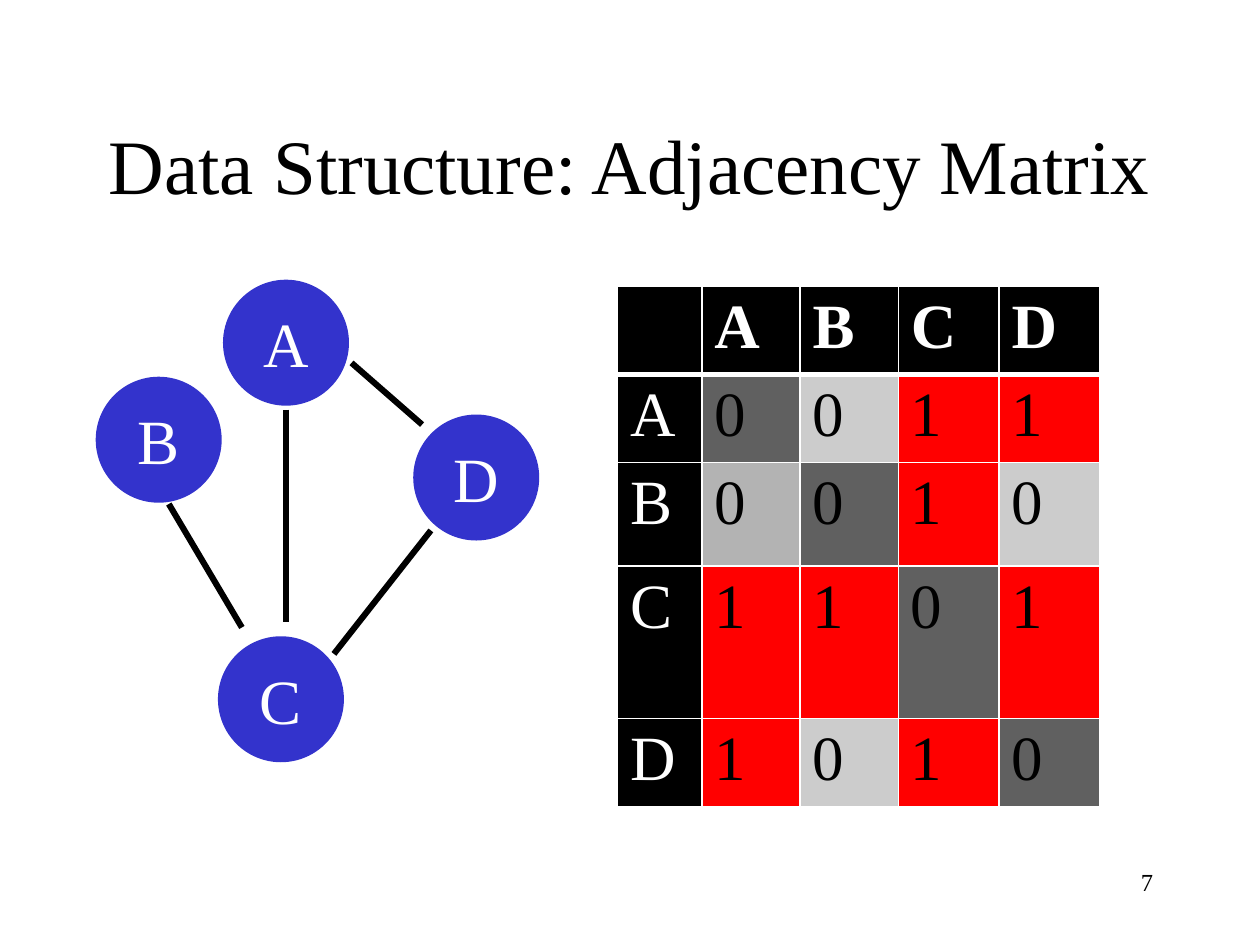
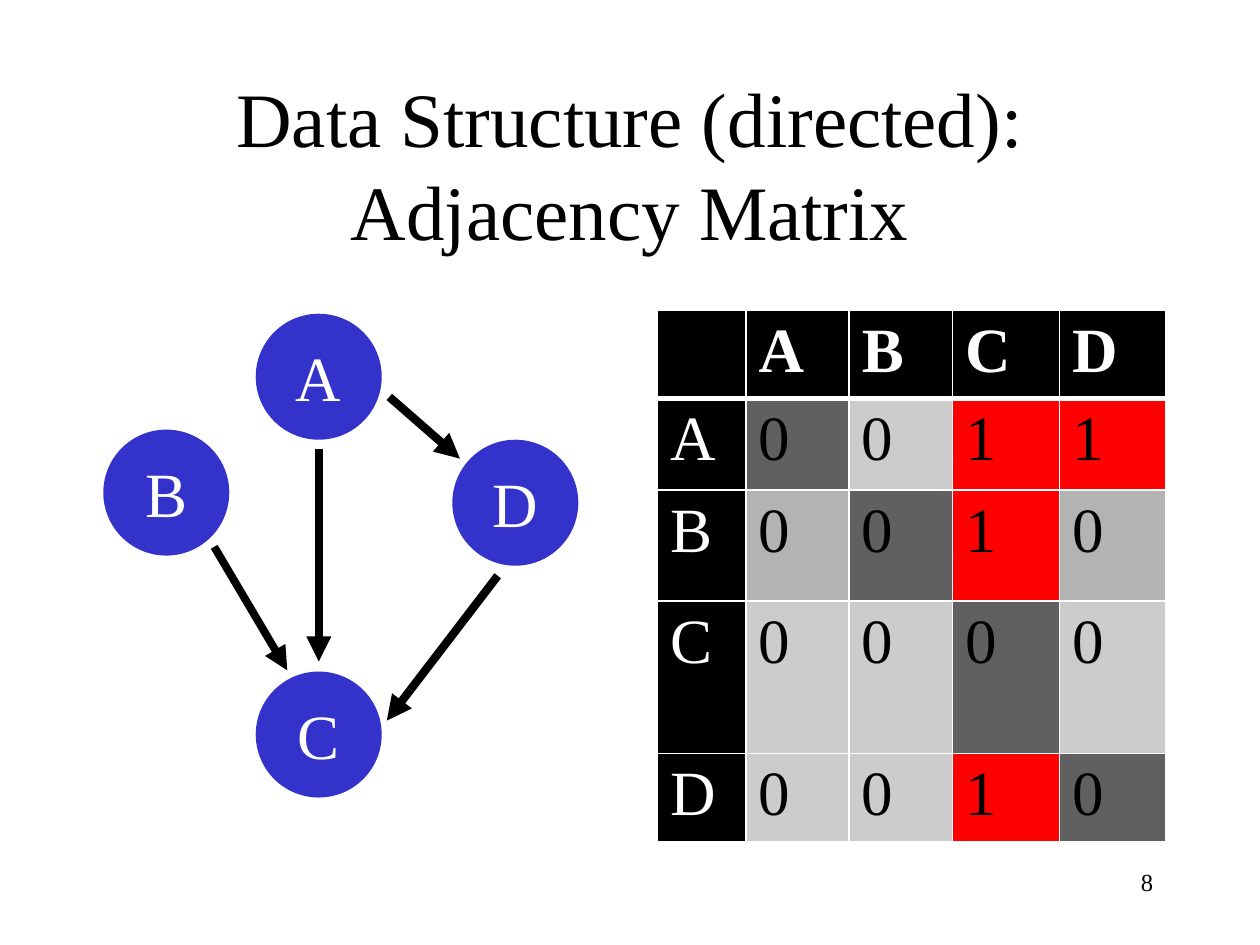
from lxml import etree
from pptx import Presentation
from pptx.dml.color import RGBColor
from pptx.enum.shapes import MSO_CONNECTOR, MSO_SHAPE
from pptx.enum.text import MSO_ANCHOR, PP_ALIGN
from pptx.oxml.ns import qn
from pptx.util import Inches, Pt

STRAIGHT = MSO_CONNECTOR.STRAIGHT
OVAL = MSO_SHAPE.OVAL
MIDDLE = MSO_ANCHOR.MIDDLE
LEFT, CENTER, RIGHT = PP_ALIGN.LEFT, PP_ALIGN.CENTER, PP_ALIGN.RIGHT

FONT = "Times New Roman"
COLORS = {
    "black": "000000",
    "white": "FFFFFF",
    "node": "3333CC",
    "edge_present": "FF0000",
    "diagonal": "606060",
    "light": "CCCCCC",
    "medium": "B3B3B3",
}
LETTERS = "ABCD"
NODE_SIZE = 1

GRAPHS = [
    {
        "title": "Data Structure: Adjacency Matrix",
        "number": 7,
        "nodes": {"B": (0.76, 2.99), "A": (1.77, 2.22), "D": (3.28, 3.29), "C": (1.73, 5.05)},
        "directed": False,
        "edges": [  # x1, y1, x2, y2, width in points
            (2.27, 3.25, 2.27, 4.94, 3.5),
            (3.42, 4.21, 2.65, 5.19, 3.5),
            (1.34, 4.0, 1.92, 4.98, 3.5),
            (2.79, 2.88, 3.35, 3.37, 3.5),
        ],
        "matrix": ["0011", "0010", "1101", "1010"],
        "medium_cells": {"BA"},
        "table_at": (4.9, 2.27),
        "columns": [0.67, 0.78, 0.78, 0.8, 0.8],
        "rows": [0.65, 0.65, 0.82, 1.21, 0.65],
    },
    {
        "title": "Data Structure (directed): Adjacency Matrix",
        "number": 8,
        "nodes": {"B": (0.82, 3.41), "A": (2.03, 2.49), "D": (3.59, 3.49), "C": (2.03, 5.33)},
        "directed": True,
        "edges": [
            (2.53, 3.56, 2.53, 5.25, 4.75),
            (3.95, 4.57, 3.07, 5.72, 4.75),
            (1.7, 4.34, 2.28, 5.32, 4.5),
            (3.09, 3.15, 3.65, 3.64, 4.75),
        ],
        "matrix": ["0011", "0010", "0000", "0010"],
        "medium_cells": {"BA", "BD"},
        "table_at": (5.22, 2.46),
        "columns": [0.7, 0.82, 0.82, 0.85, 0.84],
        "rows": [0.65, 0.73, 0.88, 1.21, 0.7],
    },
]


def write(frame, text, size, color="black", align=LEFT, bold=False):
    frame.word_wrap = True
    para = frame.paragraphs[0]
    para.text = text
    para.alignment = align
    para.font.name = FONT
    para.font.size = Pt(size)
    para.font.bold = bold
    for span in para.runs:
        span.font.name = FONT
        span.font.size = Pt(size)
        span.font.bold = bold
        span.font.color.rgb = RGBColor.from_string(COLORS[color])


def add_cell_border(cell, side, points):
    """Draw one white border; call before the cell gets its fill."""
    border = etree.SubElement(cell._tc.get_or_add_tcPr(), qn(f"a:ln{side}"), w=str(Pt(points)))
    fill = etree.SubElement(border, qn("a:solidFill"))
    etree.SubElement(fill, qn("a:srgbClr"), val=COLORS["white"])


deck = Presentation()
deck.slide_width = Inches(10)
deck.slide_height = Inches(7.5)

for graph in GRAPHS:
    page = deck.slides.add_slide(deck.slide_layouts[6])

    number_box = page.shapes.add_textbox(Inches(7.17), Inches(6.83), Inches(2.08), Inches(0.5))
    write(number_box.text_frame, str(graph["number"]), 14, align=RIGHT)

    title_box = page.shapes.add_textbox(Inches(0.75), Inches(0.67), Inches(8.5), Inches(1.25))
    title_box.text_frame.vertical_anchor = MIDDLE
    write(title_box.text_frame, graph["title"], 44, align=CENTER)

    for letter, (left, top) in graph["nodes"].items():
        node = page.shapes.add_shape(
            OVAL, Inches(left), Inches(top), Inches(NODE_SIZE), Inches(NODE_SIZE))
        node.shadow.inherit = False
        node.fill.solid()
        node.fill.fore_color.rgb = RGBColor.from_string(COLORS["node"])
        node.line.fill.background()
        node.text_frame.vertical_anchor = MIDDLE
        write(node.text_frame, letter, 36, "white", CENTER)

    for *ends, width in graph["edges"]:
        edge = page.shapes.add_connector(STRAIGHT, *[Inches(value) for value in ends])
        edge.line.width = Pt(width)
        edge.line.color.rgb = RGBColor.from_string(COLORS["black"])
        if graph["directed"]:
            etree.SubElement(edge.line._get_or_add_ln(), qn("a:tailEnd"), type="triangle")
        etree.SubElement(edge._element.spPr, qn("a:effectLst"))

    left, top = graph["table_at"]
    columns, rows = graph["columns"], graph["rows"]
    table = page.shapes.add_table(
        len(rows), len(columns), Inches(left), Inches(top),
        Inches(sum(columns)), Inches(sum(rows))).table
    for column, width in zip(table.columns, columns):
        column.width = Inches(width)
    for row, height in zip(table.rows, rows):
        row.height = Inches(height)

    labelled_rows = [" " + LETTERS]
    labelled_rows += [letter + values for letter, values in zip(LETTERS, graph["matrix"])]
    for row_index, values in enumerate(labelled_rows):
        for column_index, value in enumerate(values):
            is_label = row_index == 0 or column_index == 0
            if is_label:
                fill_color = "black"
            elif value == "1":
                fill_color = "edge_present"
            elif row_index == column_index:
                fill_color = "diagonal"
            elif LETTERS[row_index - 1] + LETTERS[column_index - 1] in graph["medium_cells"]:
                fill_color = "medium"
            else:
                fill_color = "light"

            cell = table.cell(row_index, column_index)
            add_cell_border(cell, "L", 1)
            add_cell_border(cell, "R", 1)
            add_cell_border(cell, "T", 3 if row_index == 1 else 1)
            add_cell_border(cell, "B", 3 if row_index == 0 else 1)
            cell.fill.solid()
            cell.fill.fore_color.rgb = RGBColor.from_string(COLORS[fill_color])
            write(cell.text_frame, value.strip(), 36,
                  "white" if is_label else "black", bold=row_index == 0)

deck.save("out.pptx")
